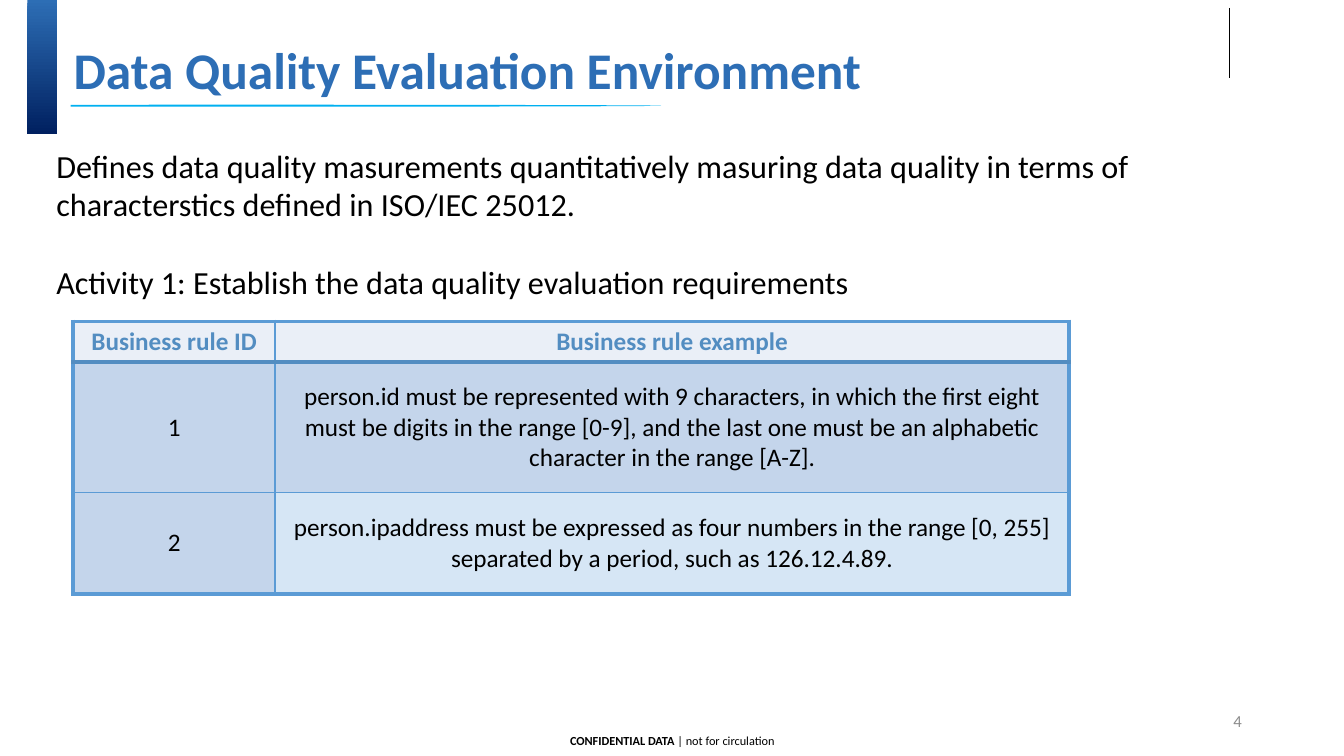
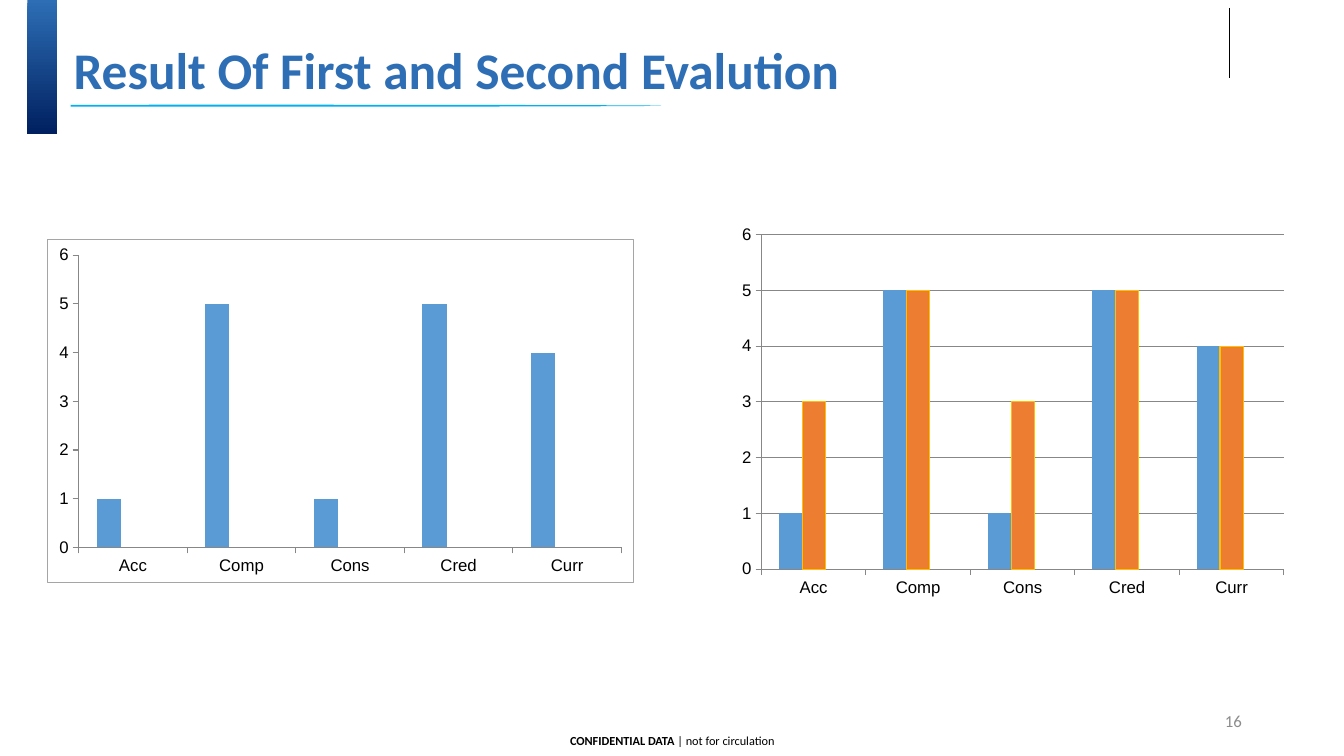
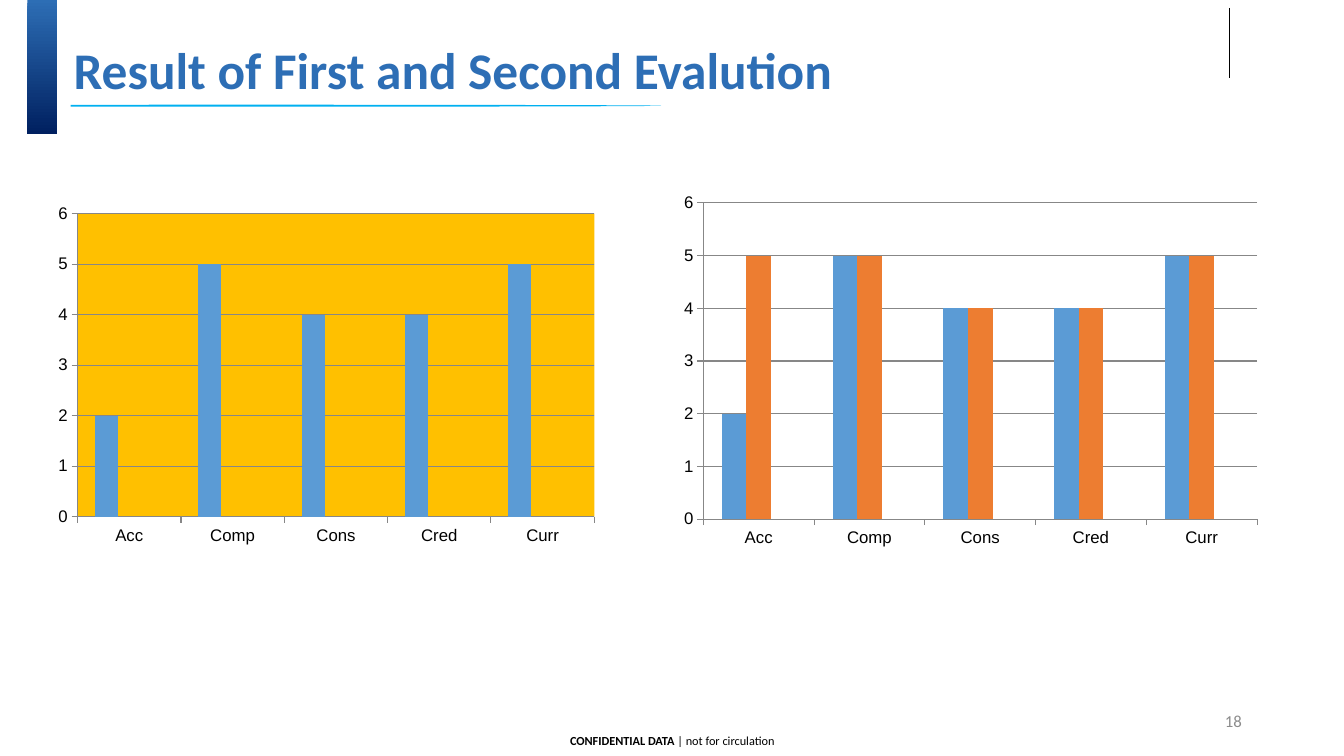
from pptx import Presentation
from pptx.chart.data import CategoryChartData
from pptx.dml.color import RGBColor
from pptx.enum.chart import XL_CHART_TYPE, XL_TICK_MARK
from pptx.enum.shapes import MSO_CONNECTOR, MSO_SHAPE
from pptx.enum.text import MSO_ANCHOR, MSO_AUTO_SIZE, PP_ALIGN
from pptx.oxml import parse_xml
from pptx.oxml.ns import nsdecls
from pptx.util import Cm, Pt

COLUMNS = XL_CHART_TYPE.COLUMN_CLUSTERED
TICK_OUT, TICK_NONE = XL_TICK_MARK.OUTSIDE, XL_TICK_MARK.NONE
STRAIGHT = MSO_CONNECTOR.STRAIGHT
RECTANGLE, OVAL = MSO_SHAPE.RECTANGLE, MSO_SHAPE.OVAL
TOP, MIDDLE = MSO_ANCHOR.TOP, MSO_ANCHOR.MIDDLE
NO_AUTOFIT = MSO_AUTO_SIZE.NONE
LEFT, CENTER, RIGHT = PP_ALIGN.LEFT, PP_ALIGN.CENTER, PP_ALIGN.RIGHT

WHITE = RGBColor(0xFF, 0xFF, 0xFF)
BLACK = RGBColor(0, 0, 0)
TITLE_BLUE = RGBColor(0x2D, 0x6E, 0xB5)
NAVY = RGBColor(0x00, 0x20, 0x60)
CYAN = RGBColor(0x00, 0xB0, 0xF0)
NUMBER_GRAY = RGBColor(0x8C, 0x8C, 0x8C)
AXIS_GRAY = RGBColor(0x87, 0x87, 0x87)
BLUE = RGBColor(0x5B, 0x9B, 0xD5)
ORANGE = RGBColor(0xED, 0x7D, 0x31)
GRAY = RGBColor(0xA5, 0xA5, 0xA5)
GOLD = RGBColor(0xFF, 0xC0, 0x00)
HEADER_BLUE = RGBColor(0x53, 0x8D, 0xC1)
HEADER_FILL = RGBColor(0xEA, 0xEF, 0xF7)
MID_FILL = RGBColor(0xC4, 0xD5, 0xEB)
LIGHT_FILL = RGBColor(0xD6, 0xE6, 0xF5)

# Content
REQUIREMENTS = [
    "Defines data quality masurements quantitatively masuring data quality in terms of "
    "characterstics defined in ISO/IEC 25012.",
    "Activity 1: Establish the data quality evaluation requirements",
]
RULES = [
    ("Business rule ID", "Business rule example"),
    ("1", "person.id must be represented with 9 characters, in which the first eight must be "
          "digits in the range [0-9], and the last one must be an alphabetic character in the "
          "range [A-Z]."),
    ("2", "person.ipaddress must be expressed as four numbers in the range [0, 255] separated "
          "by a period, such as 126.12.4.89."),
]
RULE_FILLS = [(HEADER_FILL, HEADER_FILL), (MID_FILL, MID_FILL), (MID_FILL, LIGHT_FILL)]
RULE_WIDTHS = (5.08, 20.02)
RULE_HEIGHTS = (1.02, 3.3, 2.54)

CHARACTERISTICS = ("Acc", "Comp", "Cons", "Cred", "Curr")
SERIES_COLORS = (BLUE, ORANGE, GRAY)
NOT_MEASURED = (None,) * len(CHARACTERISTICS)
RESULTS = [
    {"title": "Result Of First and Second Evalution", "number": 16, "charts": [
        {"at": (1.19, 6.02, 14.78, 8.66), "values": [(1, 5, 1, 5, 4)],
         "grid": WHITE, "border": GRAY},
        {"at": (18.42, 5.49, 14.22, 9.75), "values": [(1, 5, 1, 5, 4), (3, 5, 3, 5, 4)],
         "outline": GOLD},
    ]},
    {"title": "Result of First and Second Evalution", "number": 18, "charts": [
        {"at": (1.19, 4.98, 14.07, 8.92), "values": [(2, 5, 4, 4, 5)], "plot_fill": GOLD},
        {"at": (16.94, 4.7, 15.04, 9.27), "values": [(2, 5, 4, 4, 5), (5, 5, 4, 4, 5)]},
    ]},
]


def cm(*lengths):
    return [Cm(length) for length in lengths]


def style_font(font, size, color, bold=False, name="Calibri"):
    font.name, font.size, font.bold = name, Pt(size), bold
    font.color.rgb = color


def add_text(slide, at, paragraphs, size, color, align=LEFT, anchor=TOP, wrap=True, gap=0):
    """Each paragraph is a list of (text, bold) runs."""
    frame = slide.shapes.add_textbox(*cm(*at)).text_frame
    frame.word_wrap, frame.vertical_anchor = wrap, anchor
    for i, runs in enumerate(paragraphs):
        paragraph = frame.paragraphs[0] if i == 0 else frame.add_paragraph()
        paragraph.alignment = align
        paragraph.space_before = Pt(gap if i else 0)
        style_font(paragraph.font, size, color)
        for text, bold in runs:
            run = paragraph.add_run()
            run.text = text
            if bold:
                run.font.bold = True
    return frame


def add_block(slide, preset, at, color):
    block = slide.shapes.add_shape(preset, *cm(*at))
    block.shadow.inherit = False
    block.line.fill.background()
    block.fill.solid()
    block.fill.fore_color.rgb = color
    return block


# Shared parts: drawn once, then moved to the layout
def decorate_layout(layout, slide):
    first = len(slide.shapes)
    add_block(slide, OVAL, (-4.5, 2.64, 21.16, 0.05), CYAN)
    add_block(slide, RECTANGLE, (0, 0, 1.78, 4.19), WHITE)
    band = add_block(slide, RECTANGLE, (0.69, 0, 0.76, 3.38), TITLE_BLUE)
    band.fill.gradient()
    band.fill.gradient_angle = 270
    for stop, color in zip(band.fill.gradient_stops, (TITLE_BLUE, NAVY)):
        stop.color.rgb = color
    add_text(slide, (14.05, 18.36, 5.79, 0.64),
             [[("CONFIDENTIAL DATA ", True), ("| not for circulation", False)]],
             8.8, BLACK, CENTER, wrap=False)
    rule = slide.shapes.add_connector(STRAIGHT, *cm(30.99, 0.2, 30.99, 1.96))
    rule.line.color.rgb, rule.line.width = BLACK, Pt(1)
    rule.element.spPr.append(parse_xml(f"<a:effectLst {nsdecls('a')}/>"))
    for i, part in enumerate(list(slide.shapes)[first:]):
        part.element.xpath(".//p:cNvPr")[0].set("id", str(100 + i))
        layout.shapes.element.append(part.element)


def add_slide(prs, layout, title, number):
    slide = prs.slides.add_slide(layout)
    heading = slide.shapes.title
    heading.left, heading.top, heading.width, heading.height = cm(1.6, 0.86, 26.26, 1.93)
    frame = heading.text_frame
    frame.text = title
    frame.auto_size, frame.vertical_anchor = NO_AUTOFIT, MIDDLE
    paragraph = frame.paragraphs[0]
    paragraph.alignment, paragraph.line_spacing = LEFT, 0.9
    style_font(paragraph.font, 36.7, TITLE_BLUE, bold=True)
    add_text(slide, (23.93, 17.65, 7.62, 1.02), [[(str(number), False)]],
             12, NUMBER_GRAY, RIGHT, MIDDLE)
    return slide


# Table of business rules
def set_borders(cell, row, column):
    outer, inner, header = (BLUE, 3.15), (BLUE, 1), (HEADER_BLUE, 2.79)
    last_row, last_column = len(RULES) - 1, len(RULE_WIDTHS) - 1
    sides = {
        "L": outer if column == 0 else inner,
        "R": outer if column == last_column else inner,
        "T": outer if row == 0 else header if row == 1 else inner,
        "B": header if row == 0 else outer if row == last_row else inner,
    }
    properties = cell._tc.get_or_add_tcPr()
    for side, (color, width) in sides.items():
        properties.append(parse_xml(
            f'<a:ln{side} {nsdecls("a")} w="{Pt(width)}"><a:solidFill>'
            f'<a:srgbClr val="{color}"/></a:solidFill></a:ln{side}>'))


def add_rules(slide):
    table = slide.shapes.add_table(
        len(RULES), len(RULE_WIDTHS),
        *cm(1.85, 8.1, sum(RULE_WIDTHS), sum(RULE_HEIGHTS))).table
    table.first_row = table.horz_banding = False
    for column, width in zip(table.columns, RULE_WIDTHS):
        column.width = Cm(width)
    for r, (texts, height) in enumerate(zip(RULES, RULE_HEIGHTS)):
        table.rows[r].height = Cm(height)
        for c, text in enumerate(texts):
            cell = table.cell(r, c)
            set_borders(cell, r, c)
            cell.fill.solid()
            cell.fill.fore_color.rgb = RULE_FILLS[r][c]
            cell.vertical_anchor = MIDDLE
            cell.text = text
            paragraph = cell.text_frame.paragraphs[0]
            paragraph.alignment = CENTER
            style_font(paragraph.font, 18, BLACK if r else HEADER_BLUE, bold=r == 0)


# Column charts
def area_format(fill=None, border=None):
    def paint(color):
        if color is None:
            return "<a:noFill/>"
        return f'<a:solidFill><a:srgbClr val="{color}"/></a:solidFill>'
    return parse_xml(f'<c:spPr {nsdecls("c", "a")}>{paint(fill)}'
                     f'<a:ln w="{Pt(0.75)}">{paint(border)}</a:ln></c:spPr>')


def add_result(slide, at, values, grid=AXIS_GRAY, border=None, plot_fill=None, outline=None):
    data = CategoryChartData()
    data.categories = CHARACTERISTICS
    for i in range(len(SERIES_COLORS)):
        data.add_series(f"Series {i + 1}", values[i] if i < len(values) else NOT_MEASURED)
    chart = slide.shapes.add_chart(COLUMNS, *cm(*at), data).chart
    chart.has_legend = chart.has_title = False
    style_font(chart.font, 12, BLACK, name="Arial")

    plot = chart.plots[0]
    plot.gap_width, plot.overlap, plot.vary_by_categories = 150, 0, False
    for series, color in zip(plot.series, SERIES_COLORS):
        series.invert_if_negative = False
        series.format.fill.solid()
        series.format.fill.fore_color.rgb = color
    if outline:
        line = plot.series[1].format.line
        line.color.rgb, line.width = outline, Pt(0.75)

    for axis in (chart.category_axis, chart.value_axis):
        axis.major_tick_mark, axis.minor_tick_mark = TICK_OUT, TICK_NONE
        axis.format.line.color.rgb, axis.format.line.width = AXIS_GRAY, Pt(0.75)
    scale = chart.value_axis
    scale.minimum_scale, scale.maximum_scale, scale.major_unit = 0, 6, 1
    scale.has_major_gridlines = True
    gridline = scale.major_gridlines.format.line
    gridline.color.rgb, gridline.width = grid, Pt(0.75)

    chart.element.xpath("c:chart/c:plotArea")[0].append(area_format(plot_fill))
    chart.element.xpath("c:chart")[0].addnext(area_format(WHITE if border else None, border))


def main():
    prs = Presentation()
    prs.slide_width, prs.slide_height = cm(33.87, 19.05)
    layout = prs.slide_layouts[5]

    environment = add_slide(prs, layout, "Data Quality Evaluation Environment", 4)
    decorate_layout(layout, environment)
    add_text(environment, (1.17, 3.56, 30.4, 4.5),
             [[(text, False)] for text in REQUIREMENTS], 23, BLACK, gap=28)
    add_rules(environment)

    for result in RESULTS:
        slide = add_slide(prs, layout, result["title"], result["number"])
        for chart in result["charts"]:
            add_result(slide, **chart)

    prs.save("out.pptx")


if __name__ == "__main__":
    main()
